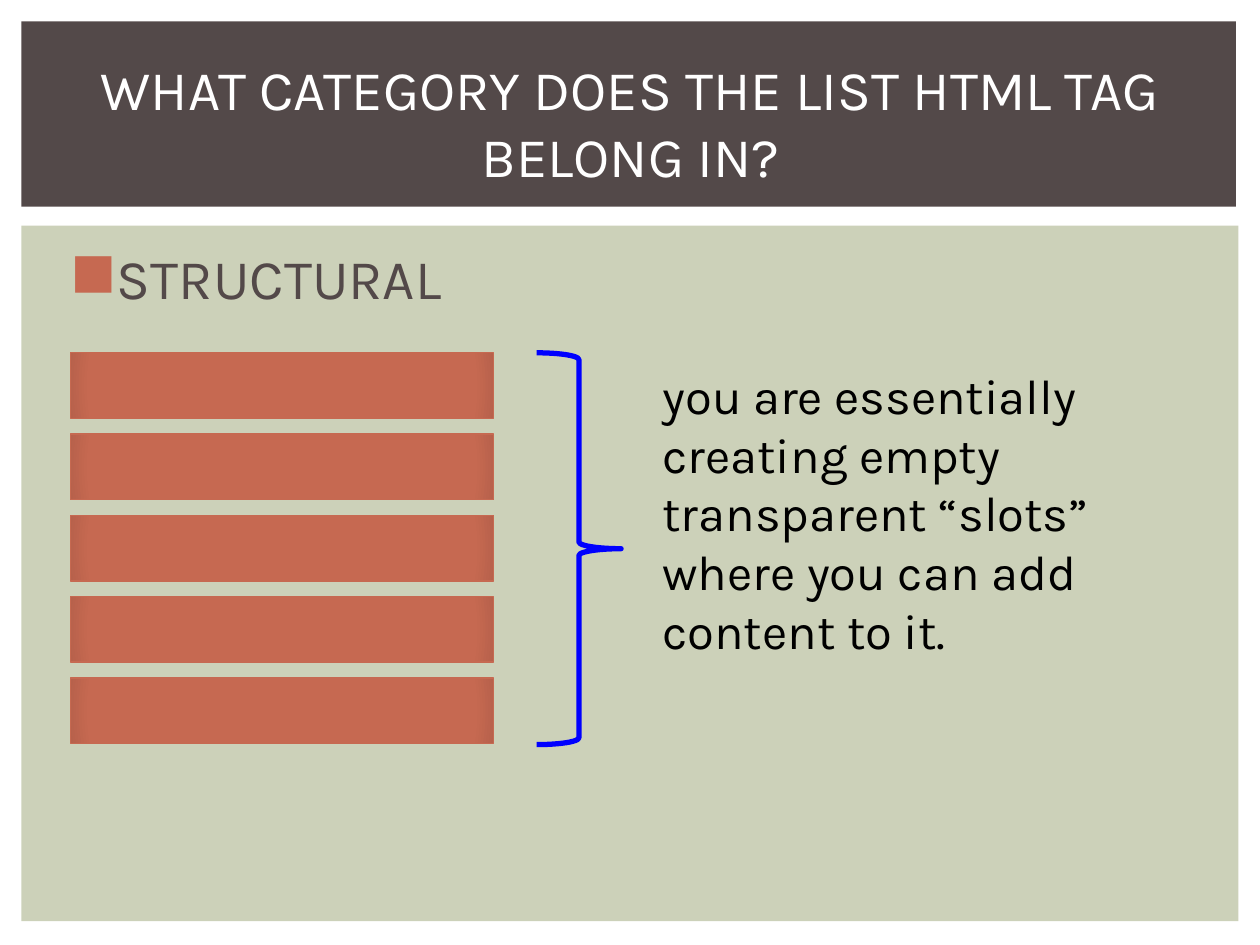
from dataclasses import dataclass

from lxml.etree import SubElement as Sub
from pptx import Presentation
from pptx.dml.color import RGBColor as RGB
from pptx.enum.shapes import MSO_SHAPE as Kind
from pptx.enum.text import MSO_ANCHOR as Anchor, MSO_AUTO_SIZE as Auto, PP_ALIGN as Align
from pptx.oxml import parse_xml
from pptx.oxml.ns import nsdecls, qn
from pptx.util import Inches, Pt


@dataclass(frozen=True)
class Theme:
    font: str = "Karla"
    head: int = 32
    body: int = 28
    white: str = "FFFFFF"
    black: str = "000000"
    dark: str = "534949"
    sage: str = "CCD1B9"
    rust: str = "C66951"
    edge: str = "B7614B"
    blue: str = "0000FF"


def write(frame, *lines, size, color, font, align=Align.LEFT, anchor=Anchor.TOP, bullet=None):
    """Fill a text frame, one paragraph a line; bullet is the marker's colour."""
    frame.word_wrap = True
    frame.auto_size = Auto.NONE
    frame.vertical_anchor = anchor
    for i, line in enumerate(lines):
        para = frame.add_paragraph() if i else frame.paragraphs[0]
        para.alignment = align
        if bullet:
            mark(para, bullet)
        run = para.add_run()
        run.text = line
        run.font.size = Pt(size)
        run.font.name = font
        run.font.color.rgb = RGB.from_string(color)


def mark(para, color):
    """Give a paragraph a square bullet with a hanging indent."""
    props = para._p.get_or_add_pPr()
    props.set("marL", str(Inches(0.3)))
    props.set("indent", str(Inches(-0.26)))
    tint = Sub(props, qn("a:buClr"))
    Sub(tint, qn("a:srgbClr"), val=color)
    Sub(props, qn("a:buChar"), char="◼")


def glow(shape, core, rim):
    """Replace a solid fill with a gradient that darkens at the rim."""
    stops = "".join(
        f'<a:gs pos="{pos * 1000}"><a:srgbClr val="{color}"/></a:gs>'
        for pos, color in ((0, core), (90, core), (100, rim))
    )
    grad = parse_xml(
        f'<a:gradFill {nsdecls("a")} rotWithShape="1"><a:gsLst>{stops}</a:gsLst>'
        '<a:path path="circle"><a:fillToRect l="50000" t="50000" r="50000" b="50000"/>'
        "</a:path></a:gradFill>"
    )
    props = shape.element.spPr
    props.replace(props.find(qn("a:solidFill")), grad)


class Deck:
    """Holds the theme and the current slide."""

    def __init__(self, theme):
        self.theme = theme
        self.show = Presentation()
        self.show.slide_width, self.show.slide_height = Inches(10), Inches(7.5)
        self.slide = self.show.slides.add_slide(self.show.slide_layouts[5])

    def shape(self, kind, *box, fill=None, line=None, width=1):
        item = self.slide.shapes.add_shape(kind, *map(Inches, box))
        item.shadow.inherit = False
        if fill:
            item.fill.solid()
            item.fill.fore_color.rgb = RGB.from_string(fill)
        else:
            item.fill.background()
        if line:
            item.line.color.rgb = RGB.from_string(line)
            item.line.width = Pt(width)
        else:
            item.line.fill.background()
        return item

    def slot(self, *box):
        rust = self.theme.rust
        item = self.shape(Kind.RECTANGLE, *box, fill=rust, line=rust, width=0.79)
        glow(item, rust, self.theme.edge)

    def brace(self, *box):
        item = self.shape(Kind.RIGHT_BRACE, *box, line=self.theme.blue, width=3)
        item.adjustments[0] = 0.08

    def text(self, *lines, box, **style):
        item = self.slide.shapes.add_textbox(*map(Inches, box))
        write(item.text_frame, *lines, font=self.theme.font, **style)

    def title(self, line, box, **style):
        item = self.slide.shapes.title
        item.left, item.top, item.width, item.height = map(Inches, box)
        item.element.getparent().append(item.element)  # bring to front
        write(item.text_frame, line, font=self.theme.font, **style)


def main():
    theme = Theme()
    deck = Deck(theme)
    deck.shape(Kind.RECTANGLE, 0.17, 1.79, 9.66, 5.52, fill=theme.sage)
    deck.shape(Kind.RECTANGLE, 0.17, 0.17, 9.64, 1.47, fill=theme.dark)
    deck.text("STRUCTURAL", box=(0.42, 1.88, 9.19, 0.7), size=theme.head,
              color=theme.dark, bullet=theme.rust)
    deck.title("WHAT CATEGORY DOES THE LIST HTML TAG BELONG IN?",
               (0.42, 0.39, 9.17, 1.15), size=theme.head, color=theme.white,
               align=Align.CENTER, anchor=Anchor.MIDDLE)

    top, step = 2.8, 0.645
    for row in range(5):
        deck.slot(0.56, top + row * step, 3.36, 0.52)
    deck.brace(4.26, top, 0.67, 3.11)
    deck.text("you are essentially creating empty",
              "transparent “slots” where you can add content to it.",
              box=(5.16, 2.85, 4.42, 1.99), size=theme.body, color=theme.black)
    deck.show.save("out.pptx")


if __name__ == "__main__":
    main()
